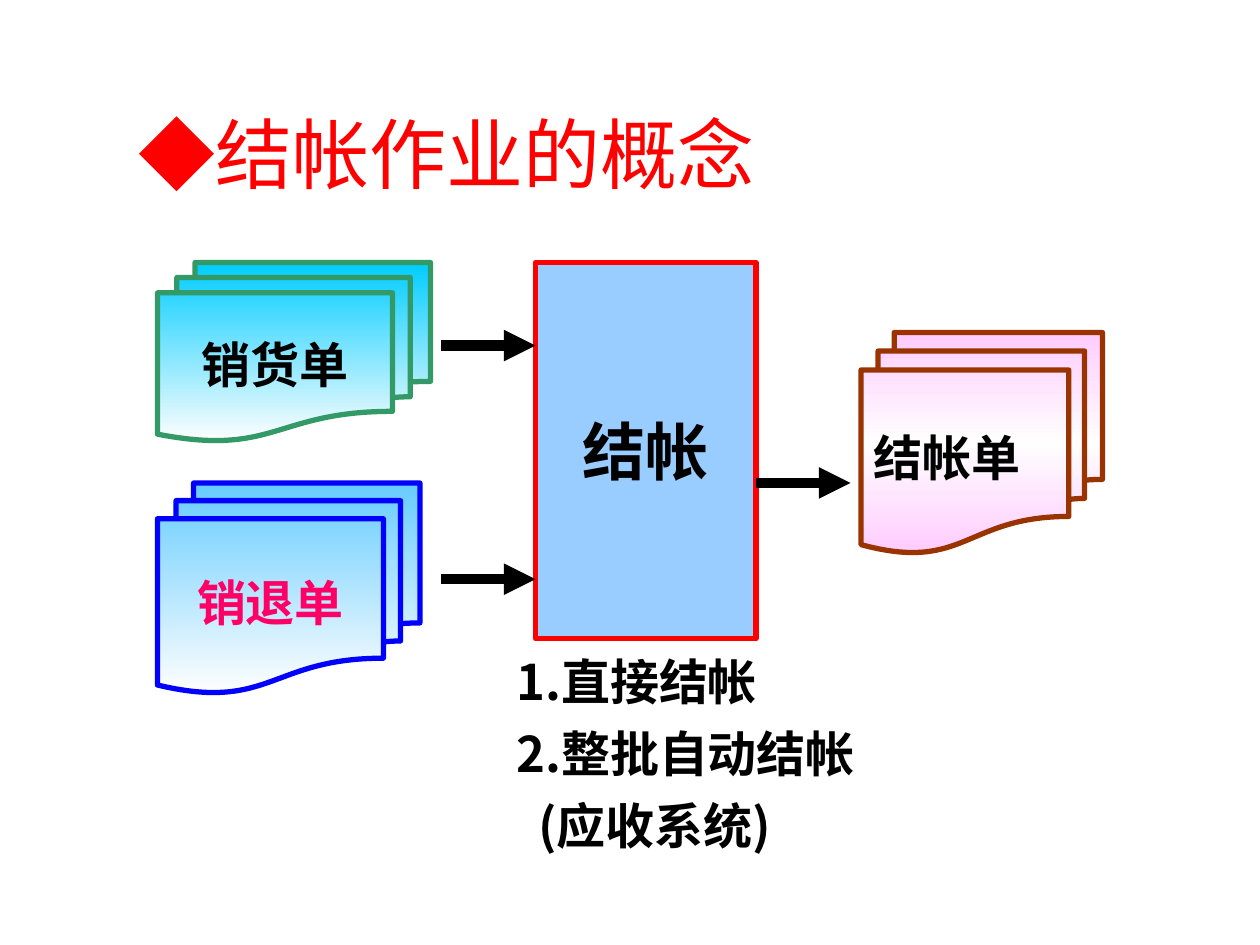
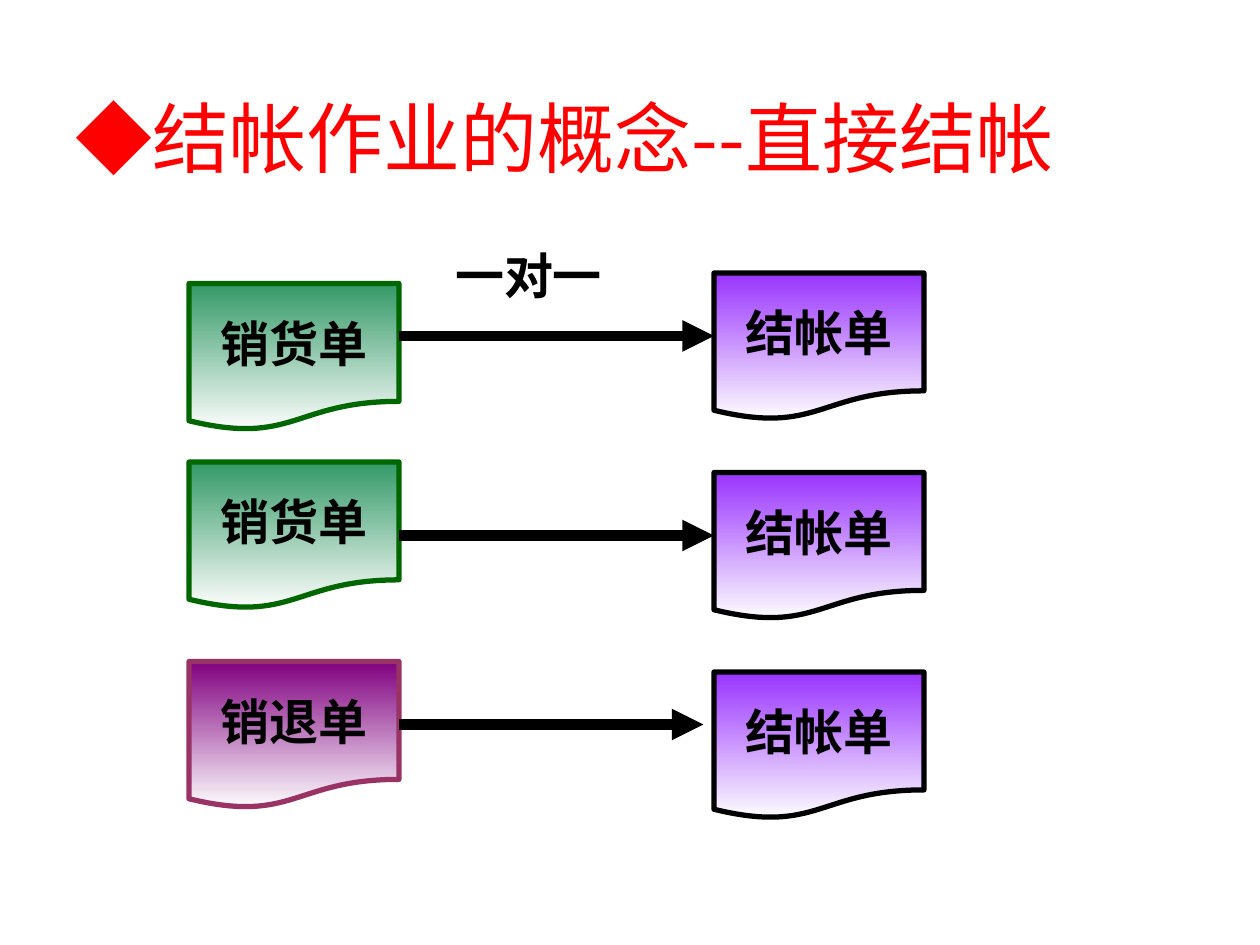
from copy import deepcopy

from lxml.etree import SubElement
from pptx import Presentation
from pptx.dml.color import RGBColor
from pptx.enum.shapes import MSO_CONNECTOR, MSO_SHAPE
from pptx.enum.text import MSO_ANCHOR, PP_ALIGN
from pptx.oxml.ns import qn
from pptx.util import Pt

BLACK = RGBColor(0x00, 0x00, 0x00)
NEAR_WHITE = RGBColor(0xFE, 0xFE, 0xFE)
RED = RGBColor(0xFF, 0x00, 0x00)
ROSE = RGBColor(0xFF, 0x00, 0x66)
PINK = RGBColor(0xFF, 0xCC, 0xFF)
BROWN = RGBColor(0x99, 0x33, 0x00)
PALE_BLUE = RGBColor(0x99, 0xCC, 0xFF)
SKY_BLUE = RGBColor(0x66, 0xCC, 0xFF)
BLUE = RGBColor(0x00, 0x00, 0xFF)
CYAN = RGBColor(0x00, 0xCC, 0xFF)
GREEN = RGBColor(0x33, 0x99, 0x66)
DARK_GREEN = RGBColor(0x00, 0x66, 0x00)
PURPLE = RGBColor(0x80, 0x00, 0x80)
PLUM = RGBColor(0x99, 0x33, 0x66)
VIOLET = RGBColor(0x99, 0x33, 0xFF)

SANS = "Noto Sans CJK SC"
SERIF = "Times New Roman"
RIGHT_SIDE = 3


def style_text(paragraph, size, color=BLACK, bold=True, font_name=SANS):
    font = paragraph.font
    font.size = Pt(size)
    font.bold = bold
    font.color.rgb = color
    font.name = font_name
    properties = paragraph._p.pPr.find(qn("a:defRPr"))
    SubElement(properties, qn("a:ea"), typeface=SANS)


def add_text_box(slide, left, top, width, height, lines, size, **style):
    box = slide.shapes.add_textbox(Pt(left), Pt(top), Pt(width), Pt(height))
    frame = box.text_frame
    frame.word_wrap = True
    frame.text = "\n".join(lines)
    for paragraph in frame.paragraphs:
        style_text(paragraph, size, **style)
    return frame


def add_title(slide, left, top, text):
    add_text_box(slide, left, top, 618, 60.5, [text], 44, color=RED, bold=False)


def add_block(slide, kind, box, text, outline, size=28, color=BLACK,
              font_name=SANS, align=PP_ALIGN.CENTER):
    shape = slide.shapes.add_shape(kind, *map(Pt, box))
    shape.shadow.inherit = False
    shape.line.color.rgb = outline
    shape.line.width = Pt(3)
    frame = shape.text_frame
    frame.vertical_anchor = MSO_ANCHOR.MIDDLE
    frame.text = text
    paragraph = frame.paragraphs[0]
    paragraph.alignment = align
    style_text(paragraph, size, color, font_name=font_name)
    return shape


def fade_down(shape, color, mirrored=False):
    fill = shape.fill
    fill.gradient()
    fill.gradient_angle = 270
    first, last = fill.gradient_stops
    first.position, first.color.rgb = 0, color
    last.position, last.color.rgb = 1, NEAR_WHITE
    if mirrored:
        last.position = 0.5
        stops = shape._element.spPr.find(qn("a:gradFill")).find(qn("a:gsLst"))
        closing = deepcopy(stops[0])
        closing.set("pos", "100000")
        stops.append(closing)


def add_arrow(slide, start, end, y):
    arrow = slide.shapes.add_connector(
        MSO_CONNECTOR.STRAIGHT, Pt(start), Pt(y), Pt(end), Pt(y))
    arrow.line.color.rgb = BLACK
    arrow.line.width = Pt(6)
    SubElement(arrow.line._get_or_add_ln(), qn("a:tailEnd"), type="triangle")
    SubElement(arrow._element.spPr, qn("a:effectLst"))
    return arrow


def add_document_stack(slide, box, text, fill, outline, mirrored=False, **style):
    stack = add_block(slide, MSO_SHAPE.FLOWCHART_MULTIDOCUMENT, box, text, outline, **style)
    fade_down(stack, fill, mirrored)


def add_settlement(slide, left, top, width, height):
    process = add_block(slide, MSO_SHAPE.FLOWCHART_PROCESS,
                        (left, top, width, height), "结帐", RED, size=36)
    process.fill.solid()
    process.fill.fore_color.rgb = PALE_BLUE
    for drop in (47.5, 181):
        add_arrow(slide, left - 54, left, top + drop)
    add_arrow(slide, left + width, left + width + 54, top + 126)

    methods = add_text_box(slide, left - 18, top + height + 13, 264, 113,
                           ["1.直接结帐", "2.整批自动结帐", "(应收系统)"], 28)
    for paragraph in methods.paragraphs:
        paragraph.line_spacing = 0.7
        paragraph.space_before = Pt(17.5)
    methods.paragraphs[-1]._p.pPr.set("marL", str(Pt(12.5)))


def add_document(slide, left, top, text, fill, outline):
    document = add_block(slide, MSO_SHAPE.FLOWCHART_DOCUMENT, (left, top, 120, 84),
                         text, outline, font_name=SERIF)
    fade_down(document, fill)
    return document


def add_one_to_one(slide, left, top, rows):
    result_left = left + 300
    for index, (text, fill, outline, source_drop, arrow_drop, gap) in enumerate(rows):
        source = add_document(slide, left, top + source_drop, text, fill, outline)
        add_document(slide, result_left, top + 114 * index, "结帐单", VIOLET, BLACK)
        arrow = add_arrow(slide, left + 120, result_left - gap, top + arrow_drop)
        if arrow_drop == source_drop + 42:
            arrow.begin_connect(source, RIGHT_SIDE)
    add_text_box(slide, left + 145, top - 19.5, 137, 46, ["一对一"], 28)


def build_concept(slide):
    add_title(slide, 72, 57.5, "◆结帐作业的概念")
    add_settlement(slide, 306, 150, 126, 215)
    add_document_stack(slide, (90, 150, 156, 102), "销货单", CYAN, GREEN)
    add_document_stack(slide, (90, 276, 150, 120), "销退单", SKY_BLUE, BLUE, color=ROSE)
    add_document_stack(slide, (492, 190, 138, 126), "结帐单", PINK, BROWN,
                       mirrored=True, align=PP_ALIGN.LEFT)


def build_direct_settlement(slide):
    add_title(slide, 36, 48, "◆结帐作业的概念--直接结帐")
    add_one_to_one(slide, 108, 156, [
        ("销货单", GREEN, DARK_GREEN, 6, 36, 0),
        ("销货单", GREEN, DARK_GREEN, 108, 150, 0),
        ("销退单", PURPLE, PLUM, 222, 258, 6),
    ])


def main():
    presentation = Presentation()
    presentation.slide_width = Pt(720)
    presentation.slide_height = Pt(540)
    for build in (build_concept, build_direct_settlement):
        build(presentation.slides.add_slide(presentation.slide_layouts[6]))
    presentation.save("out.pptx")


if __name__ == "__main__":
    main()
